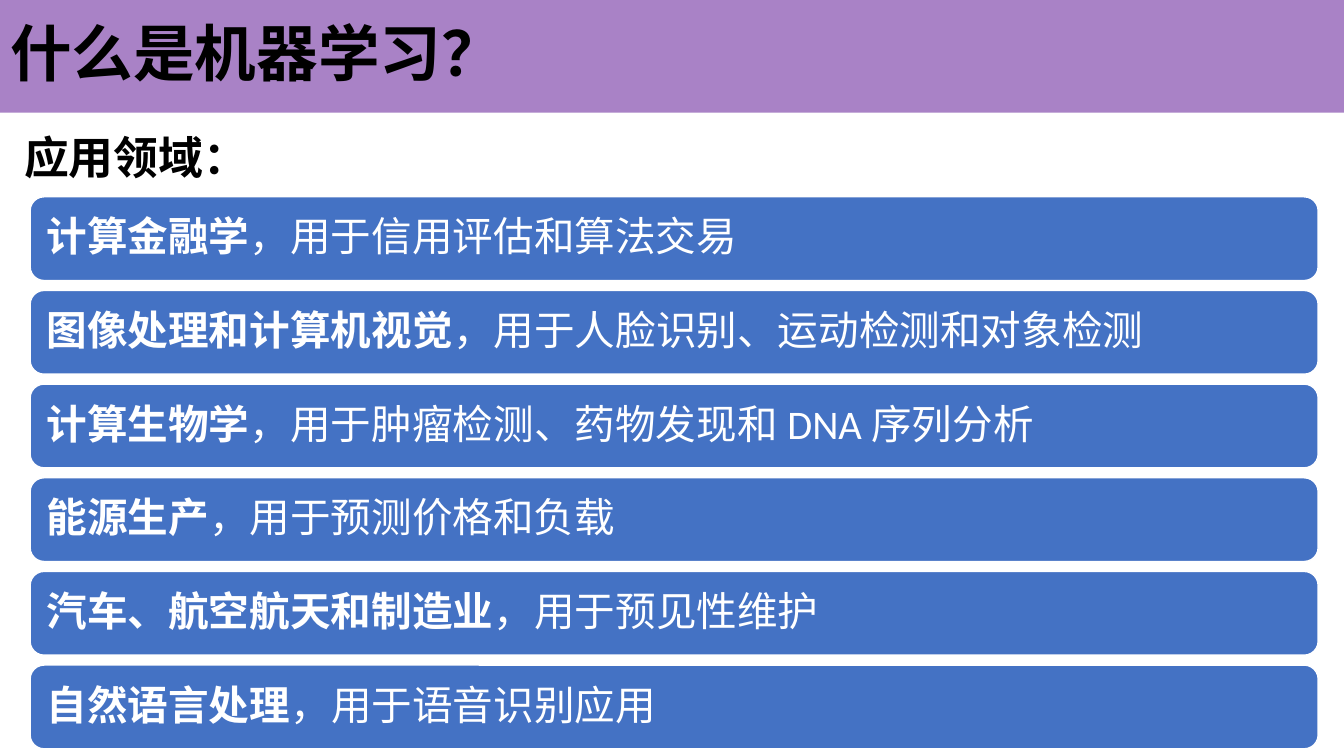
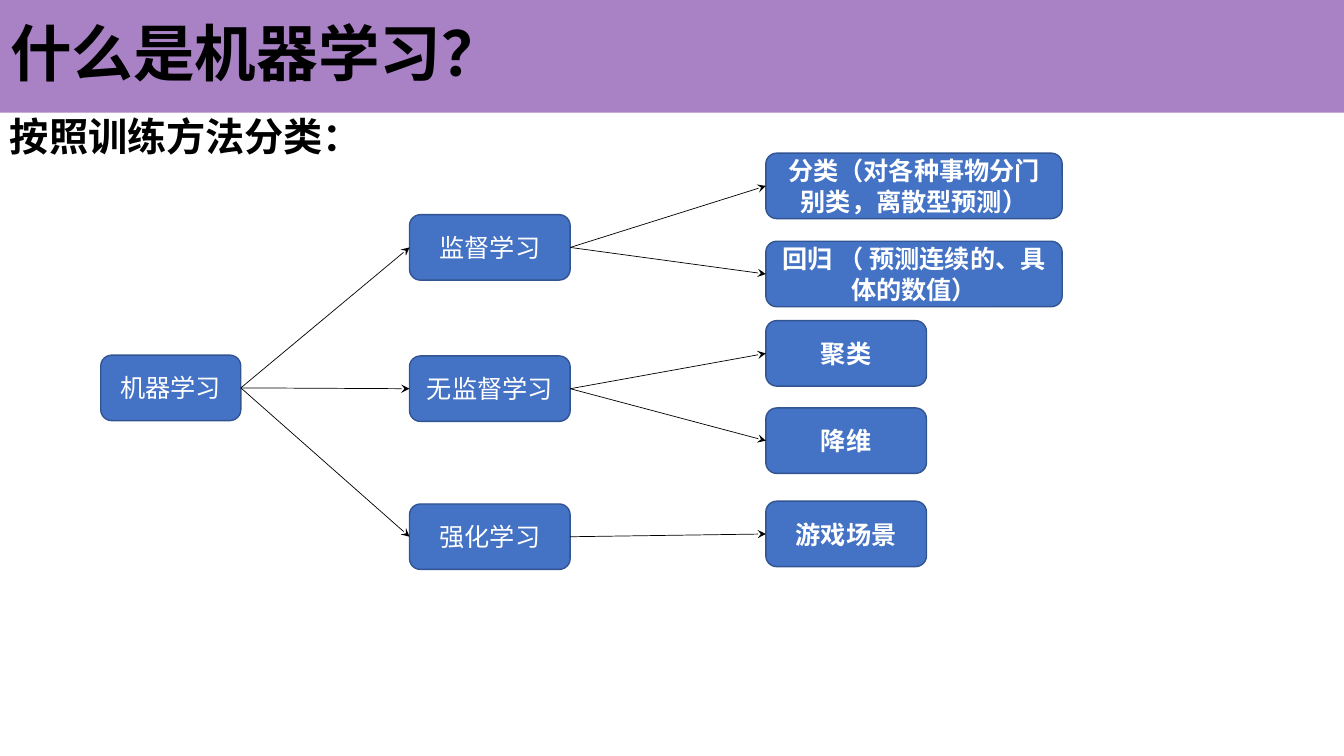
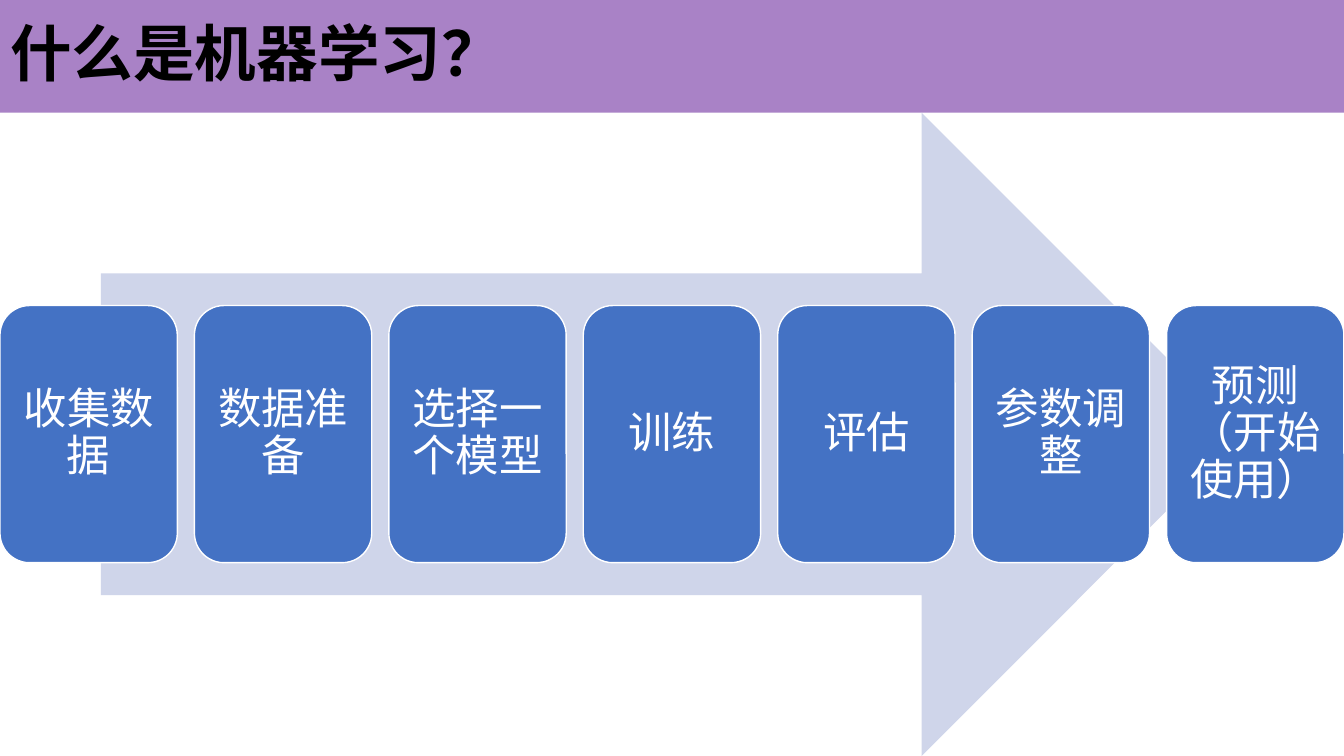
"""Build three slides that introduce machine learning."""
from lxml import etree
from pptx import Presentation
from pptx.dml.color import RGBColor
from pptx.enum.shapes import MSO_CONNECTOR, MSO_SHAPE
from pptx.enum.text import MSO_ANCHOR, MSO_AUTO_SIZE, PP_ALIGN
from pptx.oxml.ns import qn
from pptx.util import Cm, Pt

ROUNDED = MSO_SHAPE.ROUNDED_RECTANGLE
RIGHT_ARROW = MSO_SHAPE.RIGHT_ARROW
STRAIGHT = MSO_CONNECTOR.STRAIGHT
LEFT, CENTER = PP_ALIGN.LEFT, PP_ALIGN.CENTER
TOP, MIDDLE = MSO_ANCHOR.TOP, MSO_ANCHOR.MIDDLE
NO_AUTOFIT = MSO_AUTO_SIZE.NONE
TITLE_ONLY = 5
LEFT_SITE, RIGHT_SITE = 1, 3

FONT = "Calibri"
TITLE = "什么是机器学习？"
PAGE_WIDTH, PAGE_HEIGHT, HEADER_HEIGHT = 33.87, 19.05, 2.84
COLORS = {
    "header": "7030A0",
    "box": "4472C4",
    "node_edge": "325491",
    "arrow": "CFD5EA",
    "white": "FFFFFF",
    "black": "000000",
}

FIELDS = [
    ("计算金融学", "，用于信用评估和算法交易"),
    ("图像处理和计算机视觉", "，用于人脸识别、运动检测和对象检测"),
    ("计算生物学", "，用于肿瘤检测、药物发现和 DNA 序列分析"),
    ("能源生产", "，用于预测价格和负载"),
    ("汽车、航空航天和制造业", "，用于预见性维护"),
    ("自然语言处理", "，用于语音识别应用"),
]
BRANCHES = [
    ("监督学习", 5.41, [
        ("分类（对各种事物分门别类，离散型预测）", 3.86, 7.47),
        ("回归 （ 预测连续的、具体的数值）", 6.08, 7.47),
    ]),
    ("无监督学习", 8.97, [("聚类", 8.08, 4.05), ("降维", 10.28, 4.05)]),
    ("强化学习", 12.7, [("游戏场景", 12.63, 4.05)]),
]
STEPS = ["收集数据", "数据准备", "选择一个模型", "训练", "评估", "参数调整", "预测（开始使用）"]


def color(name):
    """Return the named colour."""
    return RGBColor.from_string(COLORS[name])


def set_values(target, values):
    """Set each attribute of the target from a dict."""
    for name, value in values.items():
        setattr(target, name, value)


def place(left, top, width, height):
    """Return a position dict for lengths in centimetres."""
    return {"left": Cm(left), "top": Cm(top), "width": Cm(width), "height": Cm(height)}


def write(box, spans, size, ink="black", align=LEFT, anchor=MIDDLE, spacing=1.0, margin=None):
    """Write (text, bold) spans as one paragraph in a box."""
    frame = box.text_frame
    set_values(frame, {"word_wrap": True, "auto_size": NO_AUTOFIT, "vertical_anchor": anchor})
    if margin is not None:
        sides = ("left", "top", "right", "bottom")
        set_values(frame, {f"margin_{side}": Cm(margin) for side in sides})
    para = frame.paragraphs[0]
    set_values(para, {"alignment": align, "line_spacing": spacing})
    for text, bold in spans:
        span = para.add_run()
        span.text = text
        set_values(span.font, {"name": FONT, "size": Pt(size), "bold": bold})
        span.font.color.rgb = color(ink)


def add_page(deck):
    """Add a page with the shared title band."""
    page = deck.slides.add_slide(deck.slide_layouts[TITLE_ONLY])
    title = page.shapes.title
    set_values(title, place(0, 0, PAGE_WIDTH, HEADER_HEIGHT))
    title.fill.solid()
    title.fill.fore_color.rgb = color("header")
    tint = title.element.spPr.find(".//" + qn("a:srgbClr"))
    etree.SubElement(tint, qn("a:alpha"), val="60000")
    write(title, [(TITLE, True)], 44, spacing=0.9)
    return page


def add_heading(page, text, size, position, **style):
    """Add a bold heading below the title band."""
    box = page.shapes.add_textbox(**position)
    write(box, [(text, True)], size, anchor=TOP, **style)


def add_box(page, kind, position, fill, edge=None):
    """Add a filled preset shape."""
    box = page.shapes.add_shape(kind, **position)
    box.shadow.inherit = False
    box.fill.solid()
    box.fill.fore_color.rgb = color(fill)
    if edge:
        box.line.color.rgb = color(edge)
        box.line.width = Pt(1)
    else:
        box.line.fill.background()
    return box


def add_card(page, position, spans, size, **style):
    """Add a white-edged card with text."""
    card = add_box(page, ROUNDED, position, "box", "white")
    write(card, spans, size, "white", spacing=0.9, **style)


def add_node(page, text, left, top, width, bold=False):
    """Add a node of the tree."""
    node = add_box(page, ROUNDED, place(left, top, width, 1.65), "box", "node_edge")
    write(node, [(text, bold)], 18, "white", CENTER)
    return node


def add_link(page, parent, child):
    """Draw an arrow from a parent node to its child."""
    link = page.shapes.add_connector(STRAIGHT, 0, 0, 0, 0)
    link.begin_connect(parent, RIGHT_SITE)
    link.end_connect(child, LEFT_SITE)
    link.line.color.rgb = color("black")
    link.line.width = Pt(0.5)
    etree.SubElement(link.line._get_or_add_ln(), qn("a:tailEnd"), type="stealth")
    etree.SubElement(link.element.spPr, qn("a:effectLst"))


def build_fields(deck):
    """Build the page of application fields."""
    page = add_page(deck)
    add_heading(page, "应用领域：", 32, place(0.36, 3.15, 5.69, 1.63))
    for index, (field, purpose) in enumerate(FIELDS):
        position = place(0.76, 4.96 + index * 2.36, 32.46, 2.11)
        add_card(page, position, [(field, True), (purpose, False)], 29, margin=0.31)


def build_tree(deck):
    """Build the page that sorts learning by training method."""
    page = add_page(deck)
    area = place(0, HEADER_HEIGHT, PAGE_WIDTH, PAGE_HEIGHT - HEADER_HEIGHT)
    add_heading(page, "按照训练方法分类：", 28, area, spacing=0.9)
    root = add_node(page, "机器学习", 2.54, 8.95, 3.53)
    for name, top, leaves in BRANCHES:
        branch = add_node(page, name, 10.32, top, 4.05)
        add_link(page, root, branch)
        for text, leaf_top, width in leaves:
            leaf = add_node(page, text, 19.3, leaf_top, width, True)
            add_link(page, branch, leaf)


def build_steps(deck):
    """Build the page of work steps on an arrow."""
    page = add_page(deck)
    area = place(2.54, HEADER_HEIGHT, 28.79, PAGE_HEIGHT - HEADER_HEIGHT)
    add_box(page, RIGHT_ARROW, area, "arrow")
    for index, step in enumerate(STEPS):
        position = place(index * 4.9, 7.7, 4.47, 6.48)
        add_card(page, position, [(step, False)], 31, align=CENTER, margin=0.33)


def main():
    """Build and save the deck."""
    deck = Presentation()
    set_values(deck, {"slide_width": Cm(PAGE_WIDTH), "slide_height": Cm(PAGE_HEIGHT)})
    build_fields(deck)
    build_tree(deck)
    build_steps(deck)
    deck.save("out.pptx")


if __name__ == "__main__":
    main()
